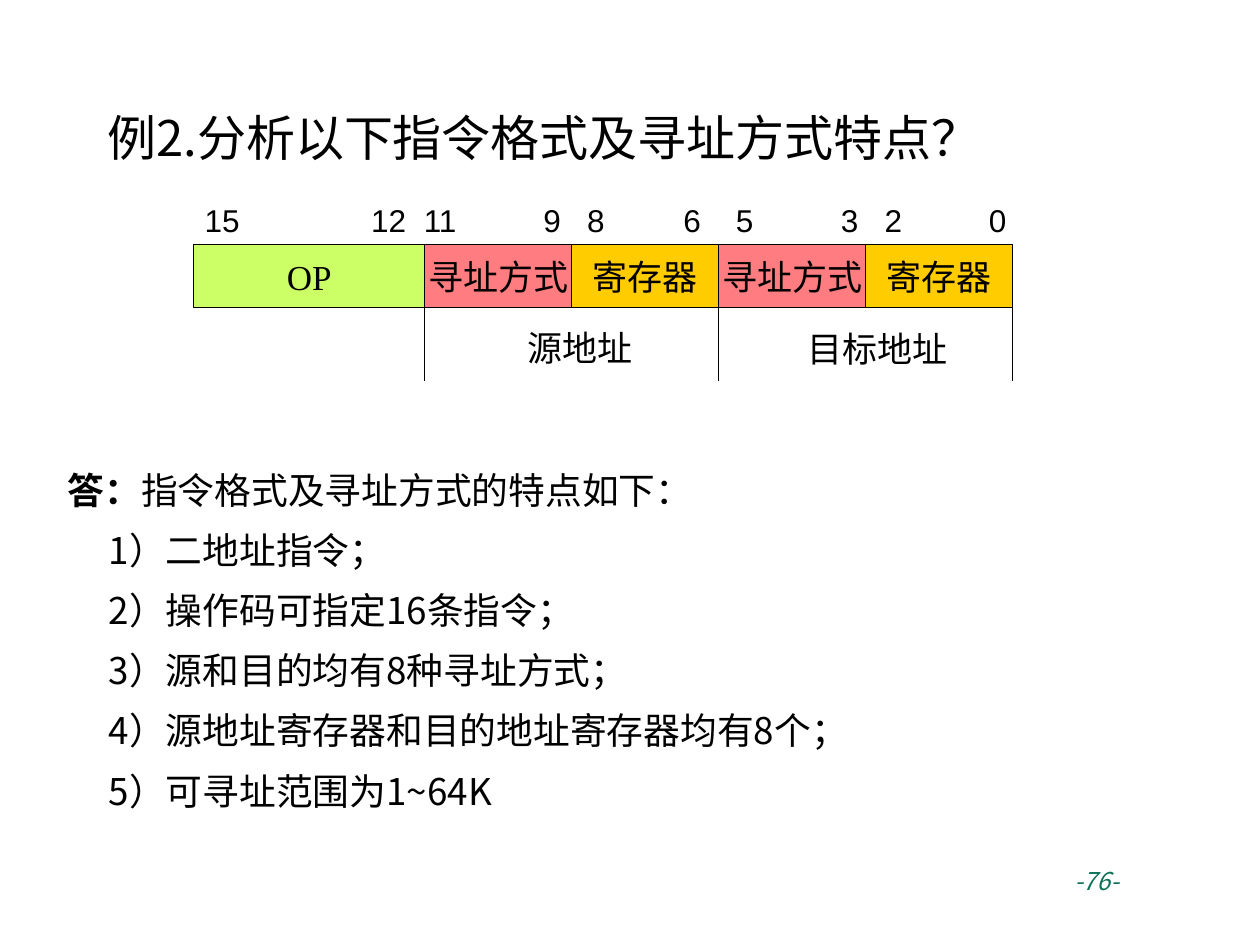
from lxml.etree import SubElement
from pptx import Presentation
from pptx.dml.color import RGBColor
from pptx.enum.shapes import MSO_CONNECTOR as Connector, MSO_SHAPE as Shape
from pptx.enum.text import MSO_ANCHOR as Anchor, MSO_AUTO_SIZE as AutoSize, PP_ALIGN as Align
from pptx.oxml.ns import qn
from pptx.util import Pt

CJK_FONT = "Noto Sans CJK SC"
BLACK = "000000"
FIELD_TOP, FIELD_HEIGHT = 139.9, 36
FIELDS_LEFT, OP_WIDTH, FIELD_WIDTH = 110.75, 132, 84
FIELDS = [
    ("OP", OP_WIDTH, "CCFF66"),
    ("寻址方式", FIELD_WIDTH, "FF7C80"),
    ("寄存器", FIELD_WIDTH, "FFCC00"),
    ("寻址方式", FIELD_WIDTH, "FF7C80"),
    ("寄存器", FIELD_WIDTH, "FFCC00"),
]
BITS_LEFT = 105
BIT_CENTRES = [(15, 127), (12, 222), (11, 251.5), (9, 315.5), (8, 340.5),
               (6, 395.5), (5, 425.5), (3, 485.5), (2, 510.5), (0, 570)]
ANSWERS = [
    "1）二地址指令；",
    "2）操作码可指定16条指令；",
    "3）源和目的均有8种寻址方式；",
    "4）源地址寄存器和目的地址寄存器均有8个；",
    "5）可寻址范围为1~64K",
]


def colour(hex_string):
    return RGBColor.from_string(hex_string)


def format_paragraph(paragraph, size, font_name=CJK_FONT, align=Align.LEFT, text_colour=BLACK):
    """Set alignment and font, with a Chinese font for East Asian letters."""
    paragraph.alignment = align
    font = paragraph.font
    font.size = Pt(size)
    font.name = font_name
    font.color.rgb = colour(text_colour)
    defaults = paragraph._p.pPr.find(qn("a:defRPr"))
    SubElement(defaults, qn("a:ea"), typeface=CJK_FONT)


def add_text_box(slide, left, top, width, height, text=""):
    box = slide.shapes.add_textbox(Pt(left), Pt(top), Pt(width), Pt(height))
    box.text_frame.word_wrap = True
    box.text_frame.text = text
    return box.text_frame


def set_title(slide, text):
    title = slide.shapes.title
    title.left, title.top, title.width, title.height = Pt(48), Pt(54.7), Pt(590), Pt(44)
    frame = title.text_frame
    frame.auto_size = AutoSize.NONE
    frame.vertical_anchor = Anchor.TOP
    frame.margin_left = Pt(13.5)
    frame.text = text
    paragraph = frame.paragraphs[0]
    paragraph.line_spacing = 1.1
    format_paragraph(paragraph, 28, "Noto Sans CJK JP")


def add_field(slide, left, width, text, fill):
    field = slide.shapes.add_shape(
        Shape.RECTANGLE, Pt(left), Pt(FIELD_TOP), Pt(width), Pt(FIELD_HEIGHT))
    field.shadow.inherit = False
    field.fill.solid()
    field.fill.fore_color.rgb = colour(fill)
    field.line.color.rgb = colour(BLACK)
    field.line.width = Pt(0.75)
    frame = field.text_frame
    frame.word_wrap = False
    frame.vertical_anchor = Anchor.MIDDLE
    frame.text = text
    format_paragraph(frame.paragraphs[0], 20, "Times New Roman", Align.CENTER)


def add_divider(slide, x):
    top = FIELD_TOP + FIELD_HEIGHT
    line = slide.shapes.add_connector(Connector.STRAIGHT, Pt(x), Pt(top), Pt(x), Pt(top + 41.6))
    line.line.color.rgb = colour(BLACK)
    line.line.width = Pt(0.75)
    SubElement(line._element.spPr, qn("a:effectLst"))


def add_address_label(slide, left, top, text):
    frame = add_text_box(slide, left, top, 113, 32, text)
    format_paragraph(frame.paragraphs[0], 20, "Arial", Align.CENTER)


def add_bit_numbers(slide):
    """Place the bit numbers on one line with centred tab stops."""
    text = "".join(f"\t{bit}" for bit, _ in BIT_CENTRES)
    frame = add_text_box(slide, BITS_LEFT, 111.5, 480, 29, text)
    frame.margin_left = frame.margin_right = 0
    paragraph = frame.paragraphs[0]
    tab_list = SubElement(paragraph._p.get_or_add_pPr(), qn("a:tabLst"))
    for _, centre in BIT_CENTRES:
        SubElement(tab_list, qn("a:tab"), pos=str(Pt(centre - BITS_LEFT)), algn="ctr")
    format_paragraph(paragraph, 18, "Arial")


def add_answer(slide):
    frame = add_text_box(slide, 26.5, 258.5, 647, 232)
    frame.margin_left = Pt(12.2)
    heading = frame.paragraphs[0]
    heading.add_run().text = "答："
    heading.runs[0].font.bold = True
    heading.add_run().text = "指令格式及寻址方式的特点如下："
    for answer in ANSWERS:
        paragraph = frame.add_paragraph()
        paragraph.text = answer
        paragraph._p.get_or_add_pPr().set("marL", str(Pt(23.5)))
    for paragraph in frame.paragraphs:
        paragraph.line_spacing = 1.2
        paragraph.space_before = Pt(4.2)
        format_paragraph(paragraph, 21)


def add_page_number(slide, text):
    frame = add_text_box(slide, 603, 491.2, 80, 37, text)
    frame.margin_left = Pt(11)
    paragraph = frame.paragraphs[0]
    format_paragraph(paragraph, 14, text_colour="0D7157")
    paragraph.font.italic = True


def main():
    presentation = Presentation()
    presentation.slide_width, presentation.slide_height = Pt(720), Pt(540)
    slide = presentation.slides.add_slide(presentation.slide_layouts[5])

    add_page_number(slide, "-76-")
    add_answer(slide)
    set_title(slide, "例2.分析以下指令格式及寻址方式特点？")
    left = FIELDS_LEFT
    for text, width, fill in FIELDS:
        add_field(slide, left, width, text, fill)
        left += width
    for pair in range(3):
        add_divider(slide, FIELDS_LEFT + OP_WIDTH + pair * 2 * FIELD_WIDTH)
    add_address_label(slide, 275, 183.2, "源地址")
    add_address_label(slide, 445, 183.7, "目标地址")
    add_bit_numbers(slide)

    presentation.save("out.pptx")


if __name__ == "__main__":
    main()
